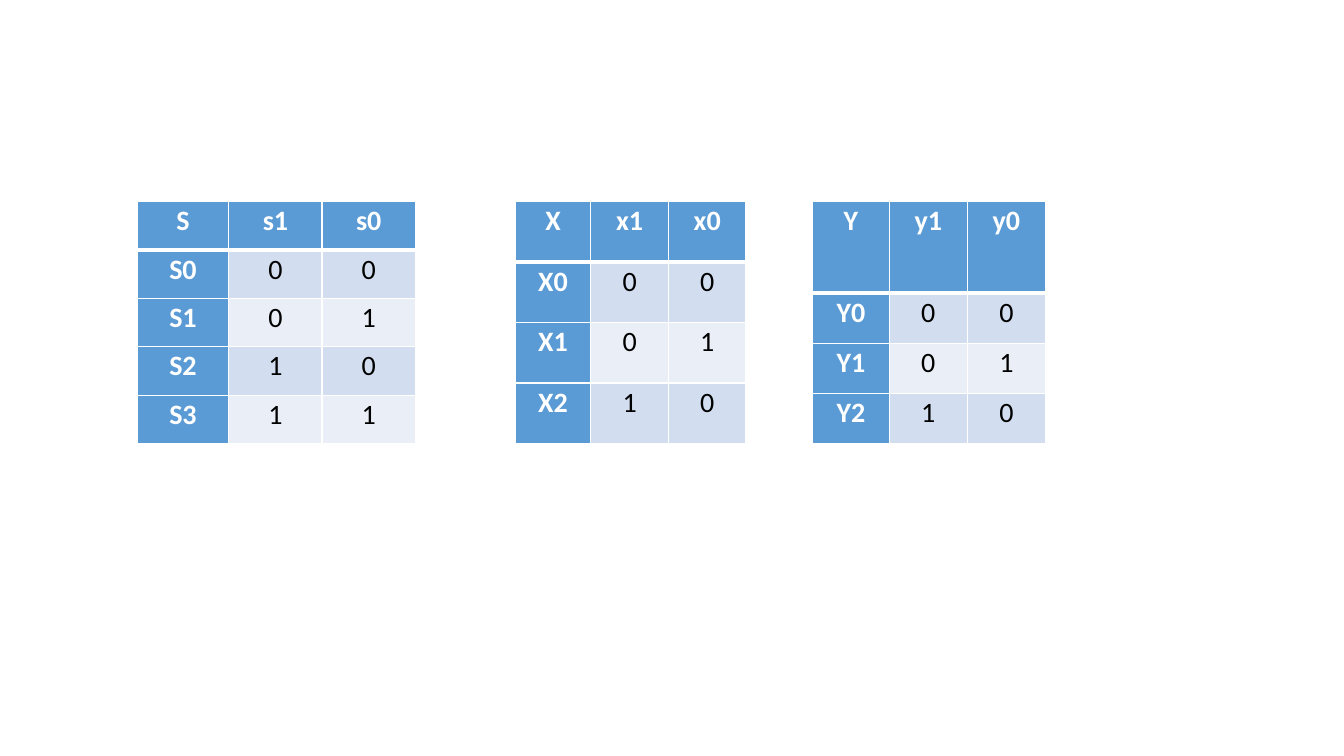
import pptx
import pptx.dml.color
import pptx.enum.text
import pptx.oxml.ns
import pptx.util
import lxml.etree

Inches = pptx.util.Inches
Pt = pptx.util.Pt

COLORS = {
    "header": "5B9BD5",
    "band_dark": "D2DEEF",
    "band_light": "EAEFF7",
    "white": "FFFFFF",
    "black": "000000",
}
MARGINS = {
    "margin_left": Inches(0.07),
    "margin_right": Inches(0.07),
    "margin_top": 0,
    "margin_bottom": 0,
}
PARAGRAPH_FORMAT = {"alignment": pptx.enum.text.PP_ALIGN.CENTER, "line_spacing": 1.07}
TABLE_FLAGS = {"first_row": True, "first_col": True, "horz_banding": True}
TOP, HEIGHT = 2, 2.4
ENCODINGS = [
    {"letter": "S", "states": 4, "left": 1.36, "widths": (0.91, 0.925, 0.925), "header": 0.48},
    {"letter": "X", "states": 3, "left": 5.11, "widths": (0.75, 0.77, 0.77), "header": 0.6},
    {"letter": "Y", "states": 3, "left": 8.06, "widths": (0.76, 0.775, 0.775), "header": 0.91},
]


def set_attributes(target, values):
    """Set every attribute named in a dict of values."""
    for name, value in values.items():
        setattr(target, name, value)


def rgb(name):
    """Return the named colour."""
    return pptx.dml.color.RGBColor.from_string(COLORS[name])


def add_borders(cell, widths):
    """Give a cell solid white borders of the given widths in points."""
    qn = pptx.oxml.ns.qn
    properties = cell._tc.get_or_add_tcPr()
    for side, width in widths.items():
        line = lxml.etree.SubElement(properties, qn(f"a:ln{side}"), w=str(Pt(width)))
        fill = lxml.etree.SubElement(line, qn("a:solidFill"))
        lxml.etree.SubElement(fill, qn("a:srgbClr"), val=COLORS["white"])


def format_cell(cell, text, row, column):
    """Write a cell and style it by its place in the table."""
    is_heading = row == 0 or column == 0
    add_borders(cell, {"L": 1, "R": 1, "T": 3 if row == 1 else 1, "B": 3 if row == 0 else 1})
    cell.fill.solid()
    band = "band_dark" if row % 2 else "band_light"
    cell.fill.fore_color.rgb = rgb("header" if is_heading else band)
    set_attributes(cell, MARGINS)
    paragraph = cell.text_frame.paragraphs[0]
    set_attributes(paragraph, PARAGRAPH_FORMAT)
    run = paragraph.add_run()
    run.text = text
    set_attributes(run.font, {"name": "Calibri", "size": Pt(20), "bold": is_heading})
    run.font.color.rgb = rgb("white" if is_heading else "black")


def add_encoding_table(slide, left, top, height, letter, states, widths, header):
    """Add a table giving the two-bit code of each state of a variable."""
    rows = [[letter, f"{letter.lower()}1", f"{letter.lower()}0"]]
    rows += [[f"{letter}{state}", *format(state, "02b")] for state in range(states)]
    table = slide.shapes.add_table(
        len(rows), len(widths), Inches(left), Inches(top), Inches(sum(widths)), Inches(height)
    ).table
    set_attributes(table, TABLE_FLAGS)
    for column, width in zip(table.columns, widths):
        column.width = Inches(width)
    for index, row in enumerate(table.rows):
        row.height = Inches((height - header) / states if index else header)
    for row_index, row in enumerate(rows):
        for column_index, text in enumerate(row):
            format_cell(table.cell(row_index, column_index), text, row_index, column_index)


def main():
    """Build the slide with the three encoding tables."""
    presentation = pptx.Presentation()
    set_attributes(presentation, {"slide_width": Inches(13.33), "slide_height": Inches(7.5)})
    slide = presentation.slides.add_slide(presentation.slide_layouts[6])
    for encoding in ENCODINGS:
        add_encoding_table(slide, top=TOP, height=HEIGHT, **encoding)
    presentation.save("out.pptx")


if __name__ == "__main__":
    main()
